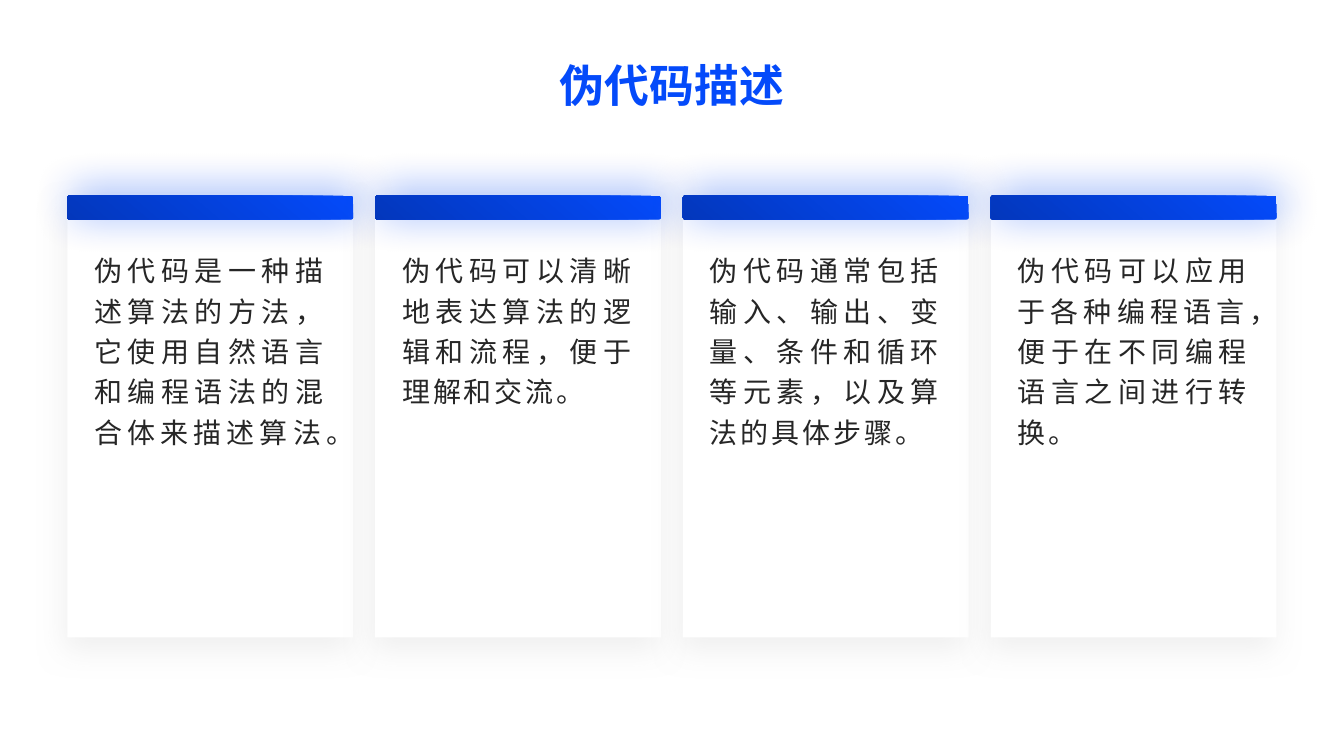
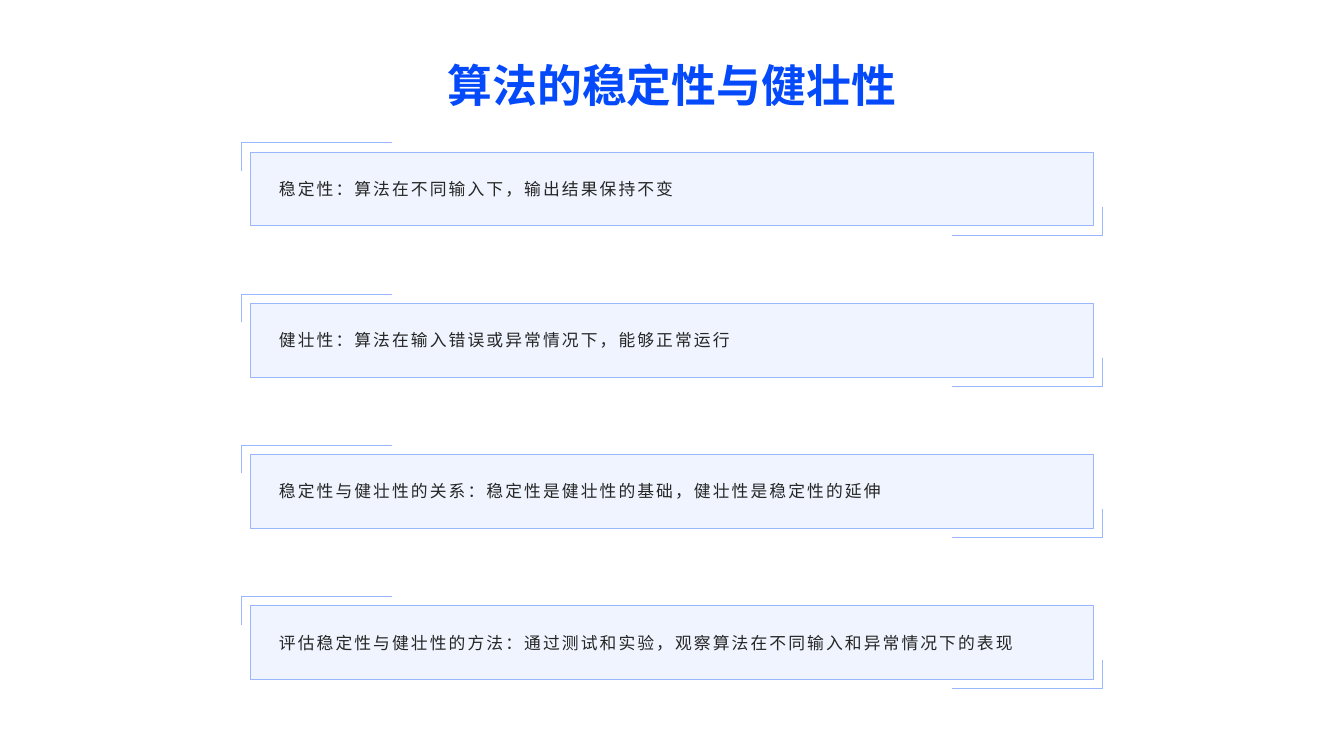
import pptx
import pptx.dml.color
import pptx.enum.lang
import pptx.enum.shapes
import pptx.enum.text
import pptx.oxml
import pptx.oxml.ns
import pptx.util
from pptx.dml.color import RGBColor
from pptx.enum.shapes import MSO_SHAPE
from pptx.enum.text import MSO_ANCHOR, PP_ALIGN
from pptx.util import Cm, Pt

BLUE = RGBColor(0x04, 0x4A, 0xFA)
DEEP_BLUE = RGBColor(0x03, 0x37, 0xBC)
LINE_BLUE = RGBColor(0x9A, 0xB6, 0xFD)
PALE_BLUE = RGBColor(0xCD, 0xDB, 0xFE)
WHITE = RGBColor(0xFF, 0xFF, 0xFF)
SHADE = RGBColor(0xD9, 0xD9, 0xD9)
INK = RGBColor(0x26, 0x26, 0x26)

TITLE_FONT = "Karla"
BODY_FONT = "Cabin"
SLIDE_WIDTH = 33.87
MARGIN = 1.7

PSEUDOCODE_POINTS = [
    "伪代码是一种描述算法的方法，它使用自然语言和编程语法的混合体来描述算法。",
    "伪代码可以清晰地表达算法的逻辑和流程，便于理解和交流。",
    "伪代码通常包括输入、输出、变量、条件和循环等元素，以及算法的具体步骤。",
    "伪代码可以应用于各种编程语言，便于在不同编程语言之间进行转换。",
]
STABILITY_POINTS = [
    "稳定性：算法在不同输入下，输出结果保持不变",
    "健壮性：算法在输入错误或异常情况下，能够正常运行",
    "稳定性与健壮性的关系：稳定性是健壮性的基础，健壮性是稳定性的延伸",
    "评估稳定性与健壮性的方法：通过测试和实验，观察算法在不同输入和异常情况下的表现",
]


class Deck:
    """Holds the presentation, its style and the current slide; lengths are in cm."""

    def __init__(self):
        self.prs = pptx.Presentation()
        self.prs.slide_width = Cm(SLIDE_WIDTH)
        self.prs.slide_height = Cm(19.05)
        self.slide = None

    def add_slide(self, title):
        self.slide = self.prs.slides.add_slide(self.prs.slide_layouts[6])
        frame = self.text_box(MARGIN, 1.22, SLIDE_WIDTH - 2 * MARGIN, 1.6)
        frame.margin_top = frame.margin_bottom = 0
        frame.vertical_anchor = MSO_ANCHOR.BOTTOM
        self.set_text(frame, title, 32, TITLE_FONT, BLUE, PP_ALIGN.CENTER, bold=True)

    def text_box(self, left, top, width, height):
        box = self.slide.shapes.add_textbox(Cm(left), Cm(top), Cm(width), Cm(height))
        box.text_frame.word_wrap = True
        return box.text_frame

    def set_text(self, frame, text, size, font=BODY_FONT, color=INK,
                 align=PP_ALIGN.LEFT, bold=False, tracking=0):
        """Fill a frame with one paragraph; tracking is letter spacing in points."""
        paragraph = frame.paragraphs[0]
        paragraph.alignment = align
        run = paragraph.add_run()
        run.text = text
        run.font.language_id = pptx.enum.lang.MSO_LANGUAGE_ID.SIMPLIFIED_CHINESE
        if tracking:
            run._r.get_or_add_rPr().set("spc", str(int(tracking * 100)))
        paragraph.font.size = Pt(size)
        paragraph.font.name = font
        paragraph.font.bold = bold
        paragraph.font.color.rgb = color
        return paragraph

    def block(self, kind, left, top, width, height, fill=None):
        shape = self.slide.shapes.add_shape(kind, Cm(left), Cm(top), Cm(width), Cm(height))
        shape.shadow.inherit = False
        shape.line.fill.background()
        if fill is not None:
            shape.fill.solid()
            shape.fill.fore_color.rgb = fill
        return shape

    def outline(self, shape):
        shape.line.color.rgb = LINE_BLUE
        shape.line.width = Pt(0.5)

    def cast_shadow(self, shape, color, alpha, blur, distance, angle):
        effects = shape._element.spPr.find(pptx.oxml.ns.qn("a:effectLst"))
        effects.append(pptx.oxml.parse_xml(
            f'<a:outerShdw {pptx.oxml.ns.nsdecls("a")} blurRad="{Pt(blur)}" '
            f'dist="{Pt(distance)}" dir="{angle * 60000}" algn="ctr" rotWithShape="0">'
            f'<a:srgbClr val="{color}"><a:alpha val="{alpha * 1000}"/></a:srgbClr>'
            '</a:outerShdw>'))

    def card(self, left, top, width, height, text):
        panel = self.block(MSO_SHAPE.RECTANGLE, left, top, width, height, WHITE)
        self.cast_shadow(panel, SHADE, 40, 22, 9, 106)

        header = self.block(MSO_SHAPE.ROUNDED_RECTANGLE, left, top, width, 0.6)
        header.adjustments[0] = 0.08
        header.fill.gradient()
        header.fill.gradient_angle = 230
        for stop, color in zip(header.fill.gradient_stops, (BLUE, DEEP_BLUE)):
            stop.color.rgb = color
        self.cast_shadow(header, BLUE, 45, 30, 5, 315)

        inset = 0.43
        frame = self.text_box(left + inset, top + 1.17, width - 2 * inset, 9.46)
        paragraph = self.set_text(frame, text, 20, align=PP_ALIGN.JUSTIFY, tracking=2)
        paragraph.line_spacing = 1.2

    def corner(self, x, y, inward):
        """Draw an angle at (x, y); inward is 1 for top left, -1 for bottom right."""
        builder = self.slide.shapes.build_freeform(Cm(x), Cm(y + inward * 0.71))
        builder.add_line_segments(
            [(Cm(x), Cm(y)), (Cm(x + inward * 3.8), Cm(y))], close=False)
        angle = builder.convert_to_shape()
        angle.shadow.inherit = False
        angle.fill.background()
        self.outline(angle)

    def framed_bar(self, left, top, width, height, text):
        bar = self.block(MSO_SHAPE.RECTANGLE, left, top, width, height, PALE_BLUE)
        color = bar._element.spPr.find(".//" + pptx.oxml.ns.qn("a:srgbClr"))
        color.append(pptx.oxml.parse_xml(
            f'<a:alpha {pptx.oxml.ns.nsdecls("a")} val="30000"/>'))
        self.outline(bar)
        frame = bar.text_frame
        frame.word_wrap = True
        frame.margin_left = Cm(0.71)
        frame.vertical_anchor = MSO_ANCHOR.MIDDLE
        self.set_text(frame, text, 12, tracking=1.5)

        gap = 0.23
        self.corner(left - gap, top - gap, 1)
        self.corner(left + width + gap, top + height + gap, -1)


def main():
    deck = Deck()

    deck.add_slide("伪代码描述")
    card_width = 7.2
    card_step = (SLIDE_WIDTH - 2 * MARGIN - card_width) / (len(PSEUDOCODE_POINTS) - 1)
    for index, text in enumerate(PSEUDOCODE_POINTS):
        deck.card(MARGIN + index * card_step, 4.93, card_width, 11.13, text)

    deck.add_slide("算法的稳定性与健壮性")
    bar_width = 21.23
    for index, text in enumerate(STABILITY_POINTS):
        deck.framed_bar((SLIDE_WIDTH - bar_width) / 2, 3.83 + index * 3.81,
                        bar_width, 1.86, text)

    deck.prs.save("out.pptx")


if __name__ == "__main__":
    main()
